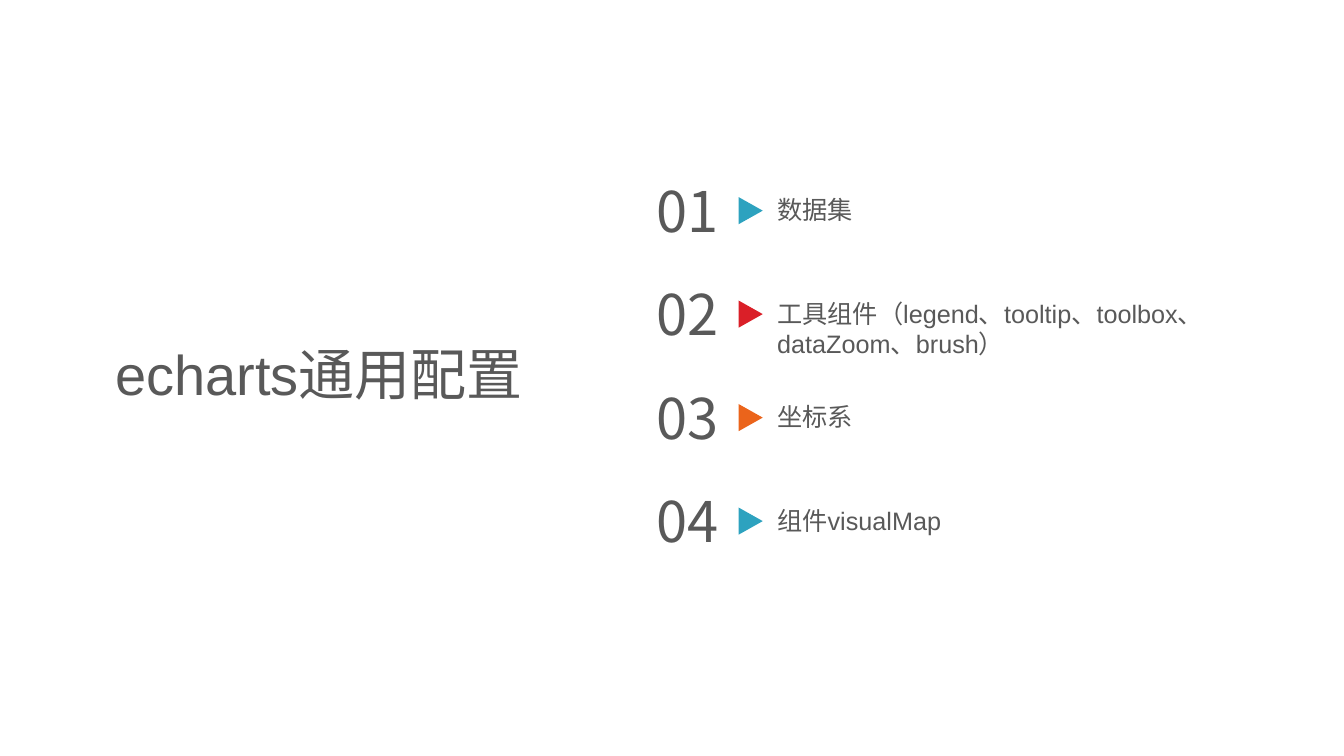
from dataclasses import dataclass

from pptx import Presentation
from pptx import util as u
from pptx.dml.color import RGBColor
from pptx.enum import shapes, text


@dataclass(frozen=True)
class Theme:
    ink: str = "595959"
    blue: str = "2DA2BF"
    red: str = "DA1F28"
    orange: str = "EB641B"
    body_font: str = "Arial"
    number_font: str = "Noto Sans CJK SC"
    large: int = 40
    small: int = 18


THEME = Theme()
TITLE = "echarts通用配置"
TOPICS = [
    ("数据集", THEME.blue, 0.4),
    ("工具组件（legend、tooltip、toolbox、dataZoom、brush）", THEME.red, 0.71),
    ("坐标系", THEME.orange, 0.4),
    ("组件visualMap", THEME.blue, 0.4),
]


def add_text(parent, box, words, size, font, align=text.PP_ALIGN.LEFT):
    tf = parent.add_textbox(*map(u.Inches, box)).text_frame
    tf.word_wrap = True
    tf.auto_size = text.MSO_AUTO_SIZE.SHAPE_TO_FIT_TEXT
    p = tf.paragraphs[0]
    p.text = words
    p.alignment = align
    p.font.size = u.Pt(size)
    p.font.name = font
    p.font.color.rgb = RGBColor.from_string(THEME.ink)


def add_marker(parent, box, color):
    """Add a triangle turned to point right; box is its frame before turning."""
    sp = parent.add_shape(shapes.MSO_SHAPE.ISOSCELES_TRIANGLE, *map(u.Inches, box))
    sp.rotation = 90
    sp.shadow.inherit = False
    sp.fill.solid()
    sp.fill.fore_color.rgb = RGBColor.from_string(color)
    sp.line.fill.background()


def add_title(s, box):
    add_text(s.shapes, box, TITLE, THEME.large, THEME.body_font, text.PP_ALIGN.RIGHT)


def add_topic(s, left, top, width, number, topic):
    """Group a number, its marker and its label in one agenda row."""
    words, color, label_height = topic
    row = s.shapes.add_group_shape().shapes
    add_marker(row, (left + 0.9, top + 0.27, 0.27, 0.24), color)
    add_text(row, (left, top, 0.9, 0.77), f"{number:02d}", THEME.large, THEME.number_font)
    add_text(row, (left + 1.2, top + 0.18, width - 1.2, label_height),
             words, THEME.small, THEME.body_font)


def add_agenda(s, box):
    """Space the topics evenly from the top to the bottom of the box."""
    left, top, width, height = box
    pitch = (height - 0.77) / (len(TOPICS) - 1)
    for i, topic in enumerate(TOPICS):
        add_topic(s, left, top + i * pitch, width, i + 1, topic)


def main():
    prs = Presentation()
    prs.slide_width, prs.slide_height = u.Inches(13.33), u.Inches(7.5)
    s = prs.slides.add_slide(prs.slide_layouts[6])
    add_title(s, (0.88, 3.32, 4.4, 0.77))
    add_agenda(s, (6.41, 1.7, 5.71, 3.85))
    prs.save("out.pptx")


if __name__ == "__main__":
    main()
